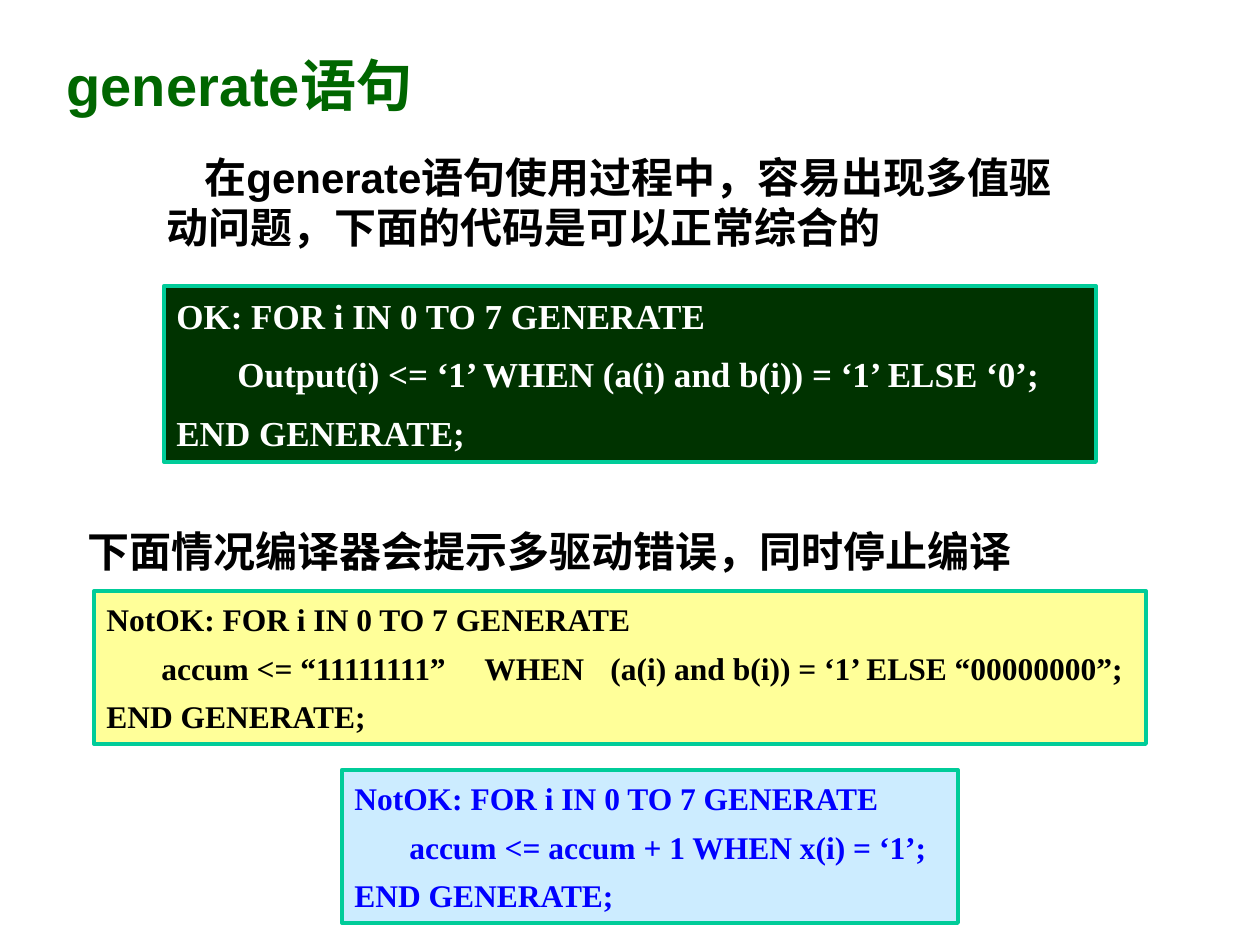
from pptx import Presentation
from pptx.dml.color import RGBColor
from pptx.enum.shapes import MSO_SHAPE
from pptx.enum.text import MSO_ANCHOR, MSO_AUTO_SIZE, PP_ALIGN
from pptx.oxml.ns import qn
from pptx.util import Emu, Pt
from lxml import etree

PX = 914400 // 126
RECT = MSO_SHAPE.RECTANGLE
MIDDLE, LEFT, NO_FIT = MSO_ANCHOR.MIDDLE, PP_ALIGN.LEFT, MSO_AUTO_SIZE.NONE
BLACK = RGBColor(0x00, 0x00, 0x00)
WHITE = RGBColor(0xFF, 0xFF, 0xFF)
BLUE = RGBColor(0x00, 0x00, 0xFF)
GREEN = RGBColor(0x00, 0x66, 0x00)
DARK_GREEN = RGBColor(0x00, 0x33, 0x00)
TEAL = RGBColor(0x00, 0xCC, 0x99)
YELLOW = RGBColor(0xFF, 0xFF, 0x99)
PALE_BLUE = RGBColor(0xCC, 0xEC, 0xFF)
SANS, CJK, SERIF = "Arial", "Noto Sans CJK SC", "Times New Roman"


def px(n):
    """Turn whole pixels into EMU."""
    return Emu(n * PX)


def apply(obj, values):
    """Set attributes of an object from a dict."""
    for name, value in values.items():
        setattr(obj, name, value)


def set_frame(tf, wrap=True):
    """Give a text frame its common layout."""
    apply(tf, dict(word_wrap=wrap, auto_size=NO_FIT, vertical_anchor=MIDDLE,
                   margin_left=Pt(7.2), margin_right=Pt(7.2),
                   margin_top=Pt(3.6), margin_bottom=Pt(3.6)))


def add_run(p, text, font, size, color):
    """Append a bold run with Latin and East Asian typefaces."""
    r = p.add_run()
    r.text = text
    apply(r.font, dict(name=font, size=Pt(size), bold=True))
    r.font.color.rgb = color
    etree.SubElement(r._r.get_or_add_rPr(), qn("a:ea")).set("typeface", CJK)


def set_indent(p, indent, tabs=()):
    """Indent the first line and place tab stops."""
    pPr = p._p.get_or_add_pPr()
    pPr.set("marL", "0")
    pPr.set("indent", str(px(indent)))
    if tabs:
        tab_list = etree.SubElement(pPr, qn("a:tabLst"))
        for pos in tabs:
            tab = etree.SubElement(tab_list, qn("a:tab"))
            tab.set("pos", str(px(pos)))
            tab.set("algn", "l")


def add_title(s, box, runs):
    """Fill and place the title placeholder."""
    sp = s.shapes.title
    apply(sp, dict(zip(("left", "top", "width", "height"), map(px, box))))
    set_frame(sp.text_frame)
    p = sp.text_frame.paragraphs[0]
    p.alignment = LEFT
    for text, font in runs:
        add_run(p, text, font, 32, GREEN)


def add_note(s, box, runs, indent=0):
    """Add a bold explanatory text box."""
    tf = s.shapes.add_textbox(*map(px, box)).text_frame
    set_frame(tf)
    p = tf.paragraphs[0]
    p.line_spacing = Pt(28.6)
    set_indent(p, indent)
    for text, font in runs:
        add_run(p, text, font, 24, BLACK)


def add_code(s, box, fill, color, size, gap, indent, body, tabs=()):
    """Add a framed generate block around one body line."""
    sp = s.shapes.add_shape(RECT, *map(px, box))
    sp.shadow.inherit = False
    sp.fill.solid()
    sp.fill.fore_color.rgb = fill
    sp.line.color.rgb = TEAL
    sp.line.width = Pt(2.25)
    tf = sp.text_frame
    set_frame(tf, wrap=False)
    label = "OK" if fill == DARK_GREEN else "NotOK"
    lines = (f"{label}: FOR i IN 0 TO 7 GENERATE", body, "END GENERATE;")
    for i, text in enumerate(lines):
        p = tf.add_paragraph() if i else tf.paragraphs[0]
        apply(p, dict(alignment=LEFT, space_before=Pt(gap if i else 0)))
        if text == body:
            set_indent(p, indent, tabs)
        add_run(p, text, SERIF, size, color)


def main():
    """Build the slide and save it."""
    prs = Presentation()
    apply(prs, dict(slide_width=px(1260), slide_height=px(945)))
    s = prs.slides.add_slide(prs.slide_layouts[5])
    add_title(s, (54, 45, 586, 79), (("generate", SANS), ("语句", SERIF)))
    add_note(s, (154, 145, 942, 113),
             (("在", CJK), ("generate", SANS),
              ("语句使用过程中，容易出现多值驱动问题，下面的代码是可以正常综合的", CJK)), 38)
    add_note(s, (75, 519, 1032, 63),
             (("下面情况编译器会提示多驱动错误，同时停止编译", CJK),))
    add_code(s, (164, 286, 932, 176), DARK_GREEN, WHITE, 20, 9.2, 61,
             "Output(i) <= ‘1’ WHEN (a(i) and b(i)) = ‘1’ ELSE ‘0’;")
    add_code(s, (94, 591, 1052, 153), YELLOW, BLACK, 18, 6.2, 55,
             "accum <= “11111111”\tWHEN\t(a(i) and b(i)) = ‘1’ ELSE “00000000”;",
             (364, 494))
    add_code(s, (342, 770, 616, 153), PALE_BLUE, BLUE, 18, 6.2, 55,
             "accum <= accum + 1 WHEN x(i) = ‘1’;")
    prs.save("out.pptx")


if __name__ == "__main__":
    main()
